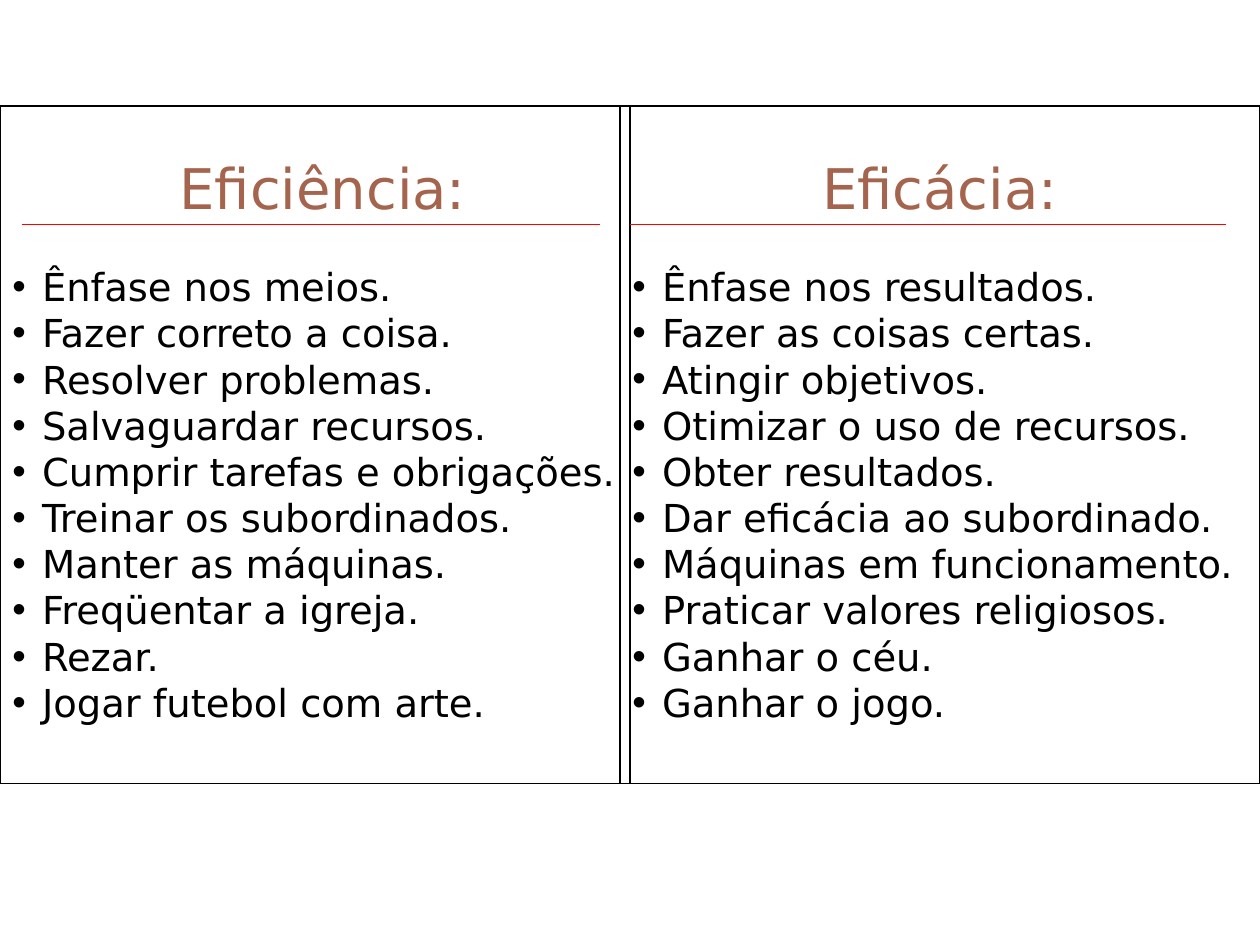
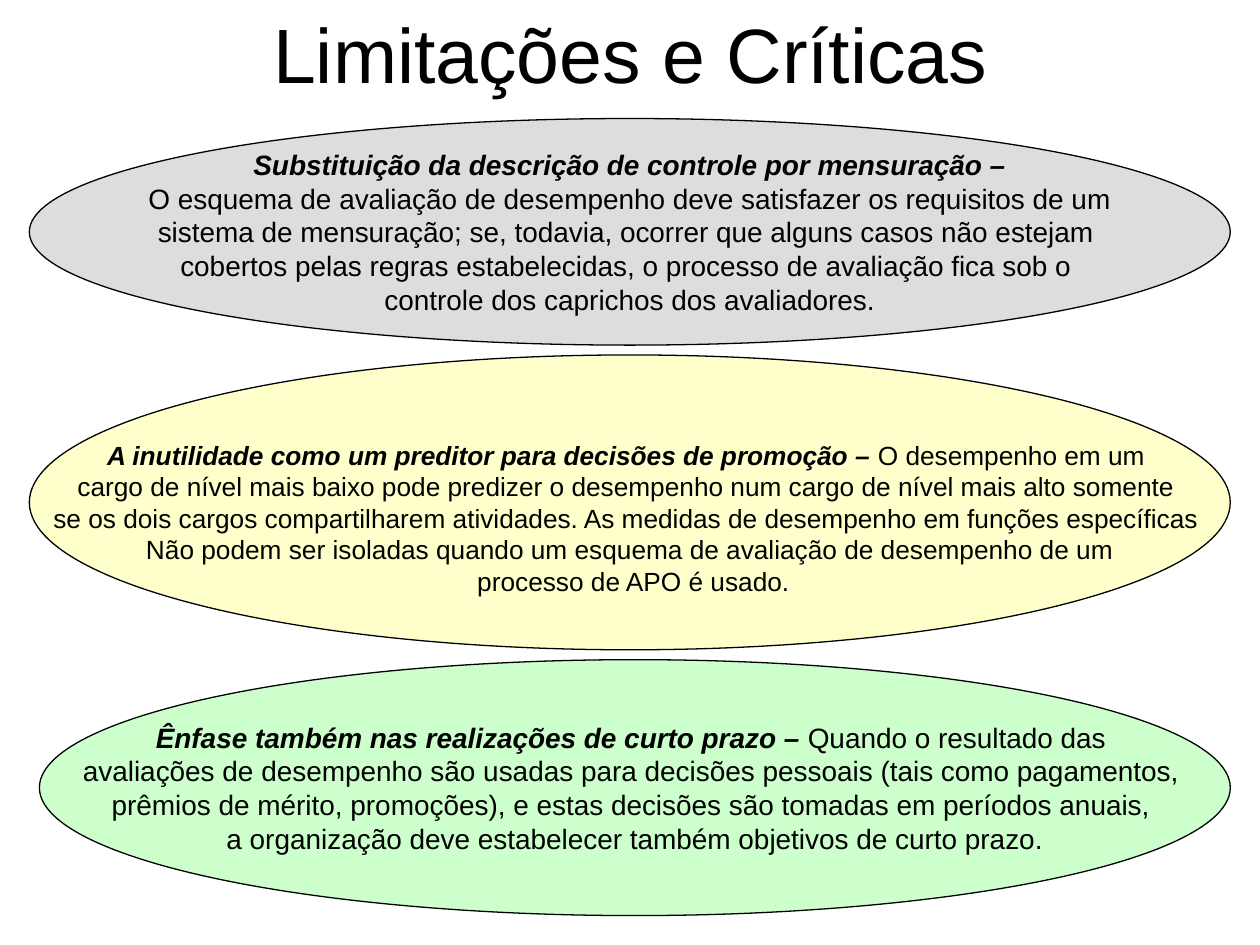
from dataclasses import dataclass

from lxml import etree
from pptx import Presentation
from pptx.dml.color import RGBColor
from pptx.enum.shapes import MSO_CONNECTOR, MSO_SHAPE
from pptx.enum.text import MSO_ANCHOR, PP_ALIGN
from pptx.oxml.ns import qn
from pptx.util import Pt

RECTANGLE, OVAL = MSO_SHAPE.RECTANGLE, MSO_SHAPE.OVAL
STRAIGHT = MSO_CONNECTOR.STRAIGHT
TOP, MIDDLE = MSO_ANCHOR.TOP, MSO_ANCHOR.MIDDLE
LEFT, CENTER = PP_ALIGN.LEFT, PP_ALIGN.CENTER

BLACK = RGBColor(0x00, 0x00, 0x00)
BROWN = RGBColor(0xA5, 0x64, 0x4E)
RED = RGBColor(0xFF, 0x00, 0x00)
GRAY = RGBColor(0xDD, 0xDD, 0xDD)
YELLOW = RGBColor(0xFF, 0xFF, 0xCC)
GREEN = RGBColor(0xCC, 0xFF, 0xCC)

PANEL_FONT = "DejaVu Sans"
BODY_FONT = "Arial"
OUTLINE_WIDTH = Pt(0.75)

PANEL_TOP, PANEL_HEIGHT = 60.5, 387.25
RULE_TOP = 128.2
BULLET_INDENT = 17
OVAL_RIGHT, OVAL_TOP, OVAL_GAP = 703, 67.75, 5.6


@dataclass
class Panel:
    left: float
    width: float
    heading: str
    heading_indent: float
    rule_start: float
    rule_end: float
    items: list[str]


@dataclass
class Criticism:
    left: float
    height: float
    fill: RGBColor
    size: float
    inset_top: float
    title: str
    lines: list[str]  # the first line follows the title, if not empty


PANELS = [
    Panel(0, 360, "Eficiência:", 95.5, 12.5, 342.75, [
        "Ênfase nos meios.",
        "Fazer correto a coisa.",
        "Resolver problemas.",
        "Salvaguardar recursos.",
        "Cumprir tarefas e obrigações.",
        "Treinar os subordinados.",
        "Manter as máquinas.",
        "Freqüentar a igreja.",
        "Rezar.",
        "Jogar futebol com arte.",
    ]),
    Panel(354.25, 365.75, "Eficácia:", 108.5, 360, 700.5, [
        "Ênfase nos resultados.",
        "Fazer as coisas certas.",
        "Atingir objetivos.",
        "Otimizar o uso de recursos.",
        "Obter resultados.",
        "Dar eficácia ao subordinado.",
        "Máquinas em funcionamento.",
        "Praticar valores religiosos.",
        "Ganhar o céu.",
        "Ganhar o jogo.",
    ]),
]

CRITICISMS = [
    Criticism(16.75, 129.5, GRAY, 16, 3.6,
              "Substituição da descrição de controle por mensuração –", [
                  "",
                  " O esquema de avaliação de desempenho deve satisfazer os requisitos de um ",
                  "sistema de mensuração; se, todavia, ocorrer que alguns casos não estejam ",
                  "cobertos pelas regras estabelecidas, o processo de avaliação fica sob o ",
                  "controle dos caprichos dos avaliadores.",
              ]),
    Criticism(16.75, 168.5, YELLOW, 15, 21,
              "A inutilidade como um preditor para decisões de promoção –", [
                  " O desempenho em um ",
                  "cargo de nível mais baixo pode predizer o desempenho num cargo de nível mais alto somente ",
                  "se os dois cargos compartilharem atividades. As medidas de desempenho em funções específicas ",
                  "Não podem ser isoladas quando um esquema de avaliação de desempenho de um",
                  " processo de APO é usado.",
              ]),
    Criticism(22.5, 146.25, GREEN, 16, 3.6,
              "Ênfase também nas realizações de curto prazo –", [
                  " Quando o resultado das ",
                  "avaliações de desempenho são usadas para decisões pessoais (tais como pagamentos, ",
                  "prêmios de mérito, promoções), e estas decisões são tomadas em períodos anuais, ",
                  "a organização deve estabelecer também objetivos de curto prazo.",
              ]),
]


def write_text(paragraph, text: str, *, size: float, font: str = BODY_FONT,
               color: RGBColor = BLACK, emphasis: bool = False,
               align=LEFT, space_before: float = 0) -> None:
    """Append a formatted run to a paragraph."""
    paragraph.alignment = align
    paragraph.space_before = Pt(space_before)
    run = paragraph.add_run()
    run.text = text
    run.font.name = font
    run.font.size = Pt(size)
    run.font.color.rgb = color
    run.font.bold = run.font.italic = emphasis


def set_indent(paragraph, margin: float, first_line: float = 0) -> None:
    properties = paragraph._p.get_or_add_pPr()
    properties.set("marL", str(Pt(margin)))
    properties.set("indent", str(Pt(first_line)))


def add_bullet(paragraph) -> None:
    set_indent(paragraph, BULLET_INDENT, -BULLET_INDENT)
    properties = paragraph._p.get_or_add_pPr()
    bullet_color = etree.SubElement(properties, qn("a:buClr"))
    etree.SubElement(bullet_color, qn("a:srgbClr"), val=str(BLACK))
    etree.SubElement(properties, qn("a:buFont"), typeface=BODY_FONT)
    etree.SubElement(properties, qn("a:buChar"), char="•")


def set_frame(shape, *, anchor, wrap: bool, top: float = 3.6, right: float = 7.2):
    frame = shape.text_frame
    frame.word_wrap = wrap
    frame.vertical_anchor = anchor
    frame.margin_left, frame.margin_right = Pt(7.2), Pt(right)
    frame.margin_top, frame.margin_bottom = Pt(top), Pt(3.6)
    return frame


def add_outlined_shape(slide, kind, left: float, top: float, width: float,
                       height: float, fill: RGBColor | None = None):
    shape = slide.shapes.add_shape(kind, Pt(left), Pt(top), Pt(width), Pt(height))
    shape.shadow.inherit = False
    if fill is None:
        shape.fill.background()
    else:
        shape.fill.solid()
        shape.fill.fore_color.rgb = fill
    shape.line.color.rgb = BLACK
    shape.line.width = OUTLINE_WIDTH
    return shape


def add_rule(slide, start: float, end: float) -> None:
    rule = slide.shapes.add_connector(STRAIGHT, Pt(start), Pt(RULE_TOP), Pt(end), Pt(RULE_TOP))
    rule.line.color.rgb = RED
    rule.line.width = OUTLINE_WIDTH
    etree.SubElement(rule._element.spPr, qn("a:effectLst"))


def add_panel(slide, panel: Panel) -> None:
    shape = add_outlined_shape(slide, RECTANGLE, panel.left, PANEL_TOP, panel.width, PANEL_HEIGHT)
    frame = set_frame(shape, anchor=TOP, wrap=True, top=27.5, right=3.6)
    heading = frame.paragraphs[0]
    set_indent(heading, panel.heading_indent)
    write_text(heading, panel.heading, size=32, font=PANEL_FONT, color=BROWN)
    for index, item in enumerate(panel.items):
        paragraph = frame.add_paragraph()
        add_bullet(paragraph)
        write_text(paragraph, item, size=22, font=PANEL_FONT,
                   space_before=0 if index else 24)


def add_criticism(slide, criticism: Criticism, top: float) -> None:
    shape = add_outlined_shape(slide, OVAL, criticism.left, top, OVAL_RIGHT - criticism.left,
                               criticism.height, criticism.fill)
    frame = set_frame(shape, anchor=MIDDLE, wrap=False, top=criticism.inset_top)
    paragraph = frame.paragraphs[0]
    write_text(paragraph, criticism.title, size=criticism.size, emphasis=True, align=CENTER)
    first_line, *other_lines = criticism.lines
    if first_line:
        write_text(paragraph, first_line, size=criticism.size, align=CENTER)
    for line in other_lines:
        write_text(frame.add_paragraph(), line, size=criticism.size, align=CENTER)


def build_comparison(slide) -> None:
    for panel in PANELS:
        add_panel(slide, panel)
    for panel in PANELS:
        add_rule(slide, panel.rule_start, panel.rule_end)


def build_criticisms(slide) -> None:
    title = slide.shapes.add_textbox(Pt(149), Pt(0), Pt(428), Pt(60.5))
    frame = set_frame(title, anchor=TOP, wrap=False)
    write_text(frame.paragraphs[0], "Limitações e Críticas", size=44)
    top = OVAL_TOP
    for criticism in CRITICISMS:
        add_criticism(slide, criticism, top)
        top += criticism.height + OVAL_GAP


def main() -> None:
    presentation = Presentation()
    presentation.slide_width, presentation.slide_height = Pt(720), Pt(540)
    blank_layout = presentation.slide_layouts[6]
    for build in (build_comparison, build_criticisms):
        build(presentation.slides.add_slide(blank_layout))
    presentation.save("out.pptx")


if __name__ == "__main__":
    main()
